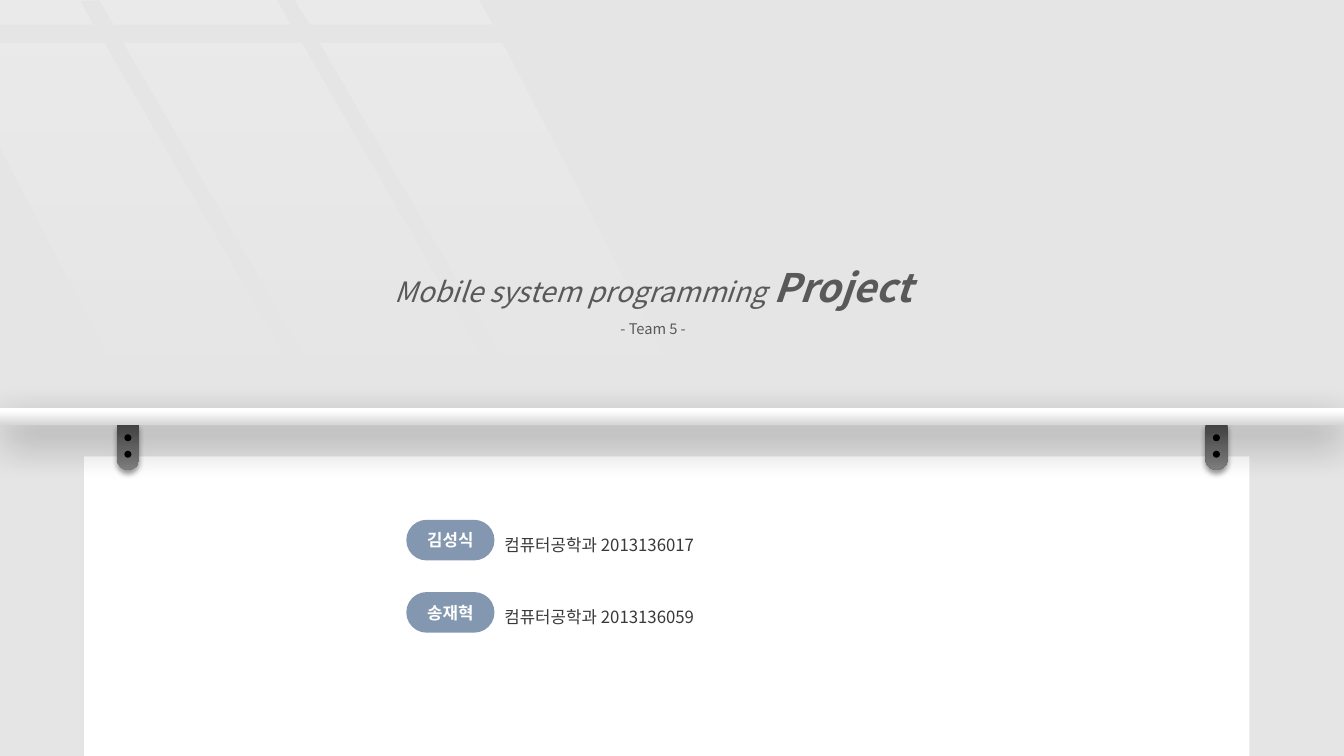
"""Build the title slide of a mobile system programming project."""
from dataclasses import dataclass

from lxml.etree import SubElement
from pptx import Presentation
from pptx.dml.color import RGBColor
from pptx.enum.shapes import MSO_SHAPE
from pptx.enum.text import MSO_ANCHOR, MSO_AUTO_SIZE, PP_ALIGN
from pptx.oxml import parse_xml
from pptx.oxml.ns import nsdecls, qn
from pptx.util import Pt


@dataclass(frozen=True)
class Theme:
    font: str = "Noto Sans CJK KR"
    wall: str = "E5E5E5"
    white: str = "FFFFFF"
    black: str = "000000"
    heading: str = "595959"
    body: str = "3B3838"
    pill: str = "8497B0"
    glass: tuple = ((0, "FFFFFF", 23), (100, "FFFFFF", 0))
    metal: tuple = ((0, "4C4C4C", 100), (50, "6B6B6B", 100), (100, "808080", 100))
    rail: tuple = ((3, "D7D7D7", 100), (84, "FFFFFF", 100))
    project_size: float = 28
    title_size: float = 20
    body_size: float = 12
    team_size: float = 10.5


theme = Theme()


def paint(shape, fill, angle=90, shadow=None):
    """Fill with a colour or gradient stops, drop the outline, set a (blur, distance) shadow."""
    shape.line.fill.background()
    shape.shadow.inherit = False
    properties = shape._element.spPr
    if isinstance(fill, str):
        shape.fill.solid()
        shape.fill.fore_color.rgb = RGBColor.from_string(fill)
    else:
        shape.fill.background()
        stops = "".join(
            f'<a:gs pos="{place * 1000}"><a:srgbClr val="{color}">'
            f'<a:alpha val="{alpha * 1000}"/></a:srgbClr></a:gs>'
            for place, color, alpha in fill
        )
        gradient = parse_xml(
            f'<a:gradFill {nsdecls("a")} rotWithShape="1"><a:gsLst>{stops}</a:gsLst>'
            f'<a:lin ang="{angle * 60000}" scaled="0"/></a:gradFill>'
        )
        properties.replace(properties.find(qn("a:noFill")), gradient)
    if shadow:
        blur, distance = shadow
        properties.find(qn("a:effectLst")).append(parse_xml(
            f'<a:outerShdw {nsdecls("a")} blurRad="{Pt(blur)}" dist="{Pt(distance)}" '
            f'dir="5400000" algn="t" rotWithShape="0"><a:srgbClr val="{theme.black}">'
            f'<a:alpha val="40000"/></a:srgbClr></a:outerShdw>'
        ))


def write(paragraph, text, size, color, bold=False, italic=False):
    """Add one run in the theme font."""
    run = paragraph.add_run()
    run.text = text
    run.font.size = Pt(size)
    run.font.bold = bold
    run.font.italic = italic
    run.font.color.rgb = RGBColor.from_string(color)
    run.font.name = theme.font
    SubElement(run.font._element, qn("a:ea")).set("typeface", theme.font)


presentation = Presentation()
presentation.slide_width = Pt(960)
presentation.slide_height = Pt(540)
slide = presentation.slides.add_slide(presentation.slide_layouts[6])
slide.background.fill.solid()
slide.background.fill.fore_color.rgb = RGBColor.from_string(theme.wall)
shapes = slide.shapes

paper = shapes.add_shape(MSO_SHAPE.RECTANGLE, Pt(60), Pt(326), Pt(832.5), Pt(214))
paint(paper, theme.white)

panes = [
    [(88, 31), (215, 31), (378, 313), (392, 313), (228, 31), (358, 31), (505, 314), (252, 314)],
    [(0, 31), (74, 31), (238, 314), (108, 314), (0, 106)],
    [(210, 0), (341, 0), (351, 18), (221, 18)],
    [(0, 0), (197, 0), (207, 18), (81, 18), (71, 1), (57, 1), (66, 18), (0, 18)],
]
outline = shapes.build_freeform(*panes[0][0], scale=Pt(1))
for index, (corner, *others) in enumerate(panes):
    if index:
        outline.move_to(*corner)
    outline.add_line_segments(others, close=True)
paint(outline.convert_to_shape(), theme.glass)

for clip_left in (861, 83.5):
    clip = shapes.add_shape(MSO_SHAPE.ROUND_2_SAME_RECTANGLE, Pt(clip_left), Pt(303), Pt(16), Pt(32.5))
    clip.adjustments[0] = 0
    clip.adjustments[1] = 0.5
    paint(clip, theme.metal, shadow=(4, 3))
    for hole_top in (310.2, 322):
        hole = shapes.add_shape(MSO_SHAPE.OVAL, Pt(clip_left + 5.4), Pt(hole_top), Pt(5), Pt(5))
        paint(hole, theme.black)

rail = shapes.add_shape(MSO_SHAPE.RECTANGLE, Pt(0), Pt(291.5), Pt(960), Pt(12))
paint(rail, theme.rail, angle=270, shadow=(29, 11))

heading = shapes.add_textbox(Pt(270.7), Pt(168), Pt(391.7), Pt(77)).text_frame
heading.word_wrap = True
heading.auto_size = MSO_AUTO_SIZE.SHAPE_TO_FIT_TEXT
title = heading.paragraphs[0]
team = heading.add_paragraph()
for line in (title, team):
    line.alignment = PP_ALIGN.CENTER
    line.line_spacing = 1.5
write(title, "Mobile system programming ", theme.title_size, theme.heading, italic=True)
write(title, "Project", theme.project_size, theme.heading, bold=True, italic=True)
write(team, "- Team 5 -", theme.team_size, theme.heading)

members = [("김성식", "컴퓨터공학과 2013136017"), ("송재혁", "컴퓨터공학과 2013136059")]
for row, (name, details) in enumerate(members):
    top = Pt(371.3 + row * 51.6)
    pill = shapes.add_shape(MSO_SHAPE.ROUNDED_RECTANGLE, Pt(290.2), top, Pt(63), Pt(29))
    pill.adjustments[0] = 0.5
    paint(pill, theme.pill)
    pill.text_frame.vertical_anchor = MSO_ANCHOR.MIDDLE
    label = pill.text_frame.paragraphs[0]
    label.alignment = PP_ALIGN.CENTER
    write(label, name, theme.body_size, theme.white, bold=True)

    entry = shapes.add_textbox(Pt(353.2), top, Pt(178), Pt(29)).text_frame
    entry.word_wrap = True
    entry.auto_size = MSO_AUTO_SIZE.SHAPE_TO_FIT_TEXT
    entry.paragraphs[0].line_spacing = 1.5
    write(entry.paragraphs[0], details, theme.body_size, theme.body)

presentation.save("out.pptx")
